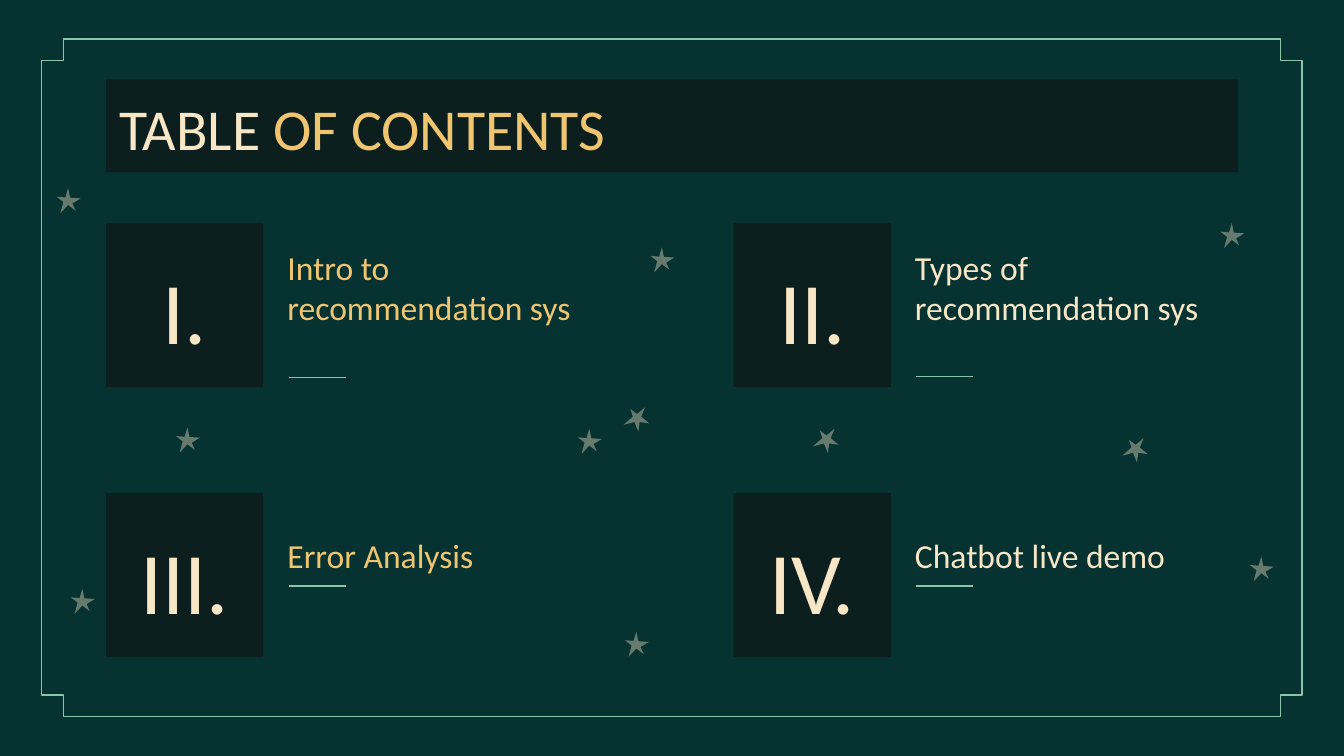
from dataclasses import dataclass

from lxml.etree import SubElement
from pptx import Presentation
from pptx.dml.color import RGBColor
from pptx.enum.shapes import MSO_CONNECTOR, MSO_SHAPE
from pptx.enum.text import MSO_ANCHOR, PP_ALIGN
from pptx.oxml.ns import qn
from pptx.util import Pt


@dataclass(frozen=True)
class Theme:
    ground: RGBColor = RGBColor(0x06, 0x33, 0x32)
    panel: RGBColor = RGBColor(0x0C, 0x1F, 0x1E)
    cream: RGBColor = RGBColor(0xF7, 0xE7, 0xC6)
    gold: RGBColor = RGBColor(0xEF, 0xC5, 0x70)
    green: RGBColor = RGBColor(0x8B, 0xC5, 0xA7)
    font: str = "Calibri"
    title: int = 31
    number: int = 47
    topic: int = 18
    stroke: float = 0.75


THEME = Theme()
INSET = 7.2
COLS = (56.9, 393.1)
ROWS = (119.5, 264.2)

# Star outlines, relative to their top left corner
UPRIGHT = ((6.1, 0), (4.7, 5), (0, 4.6), (3.6, 7.4), (2, 13.4),
           (6.1, 9), (10.1, 12), (8.4, 8.2), (12.8, 5.5), (7.2, 5.1))
TILTED = ((11.5, 0), (7.2, 3.6), (3.6, 0.9), (5, 5), (0, 9.4),
          (5.8, 7.9), (7.9, 13), (8.6, 7.9), (13.7, 8.6), (9.4, 5))
STARS = (
    (UPRIGHT, ((309.6, 229.7), (348.5, 132.5), (334.8, 338.4), (30.4, 100.8),
               (653.8, 119.5), (669.6, 298.1), (94.3, 229), (38, 315.4))),
    (TILTED, ((435.6, 229.7), (601.2, 234.7), (334.1, 218.2))),
)

# Number, topic, colour, column, row, topic top, rule height
TOPICS = (
    ("I.", "Intro to recommendation sys", THEME.gold, 0, 0, 125, 202.4),
    ("II.", "Types of recommendation sys", THEME.cream, 1, 0, 125, 201.6),
    ("III.", "Error Analysis", THEME.gold, 0, 1, 279.4, 313.9),
    ("IV.", "Chatbot live demo", THEME.cream, 1, 1, 279.4, 313.9),
)


def add_star(slide, outline, left, top):
    points = [(Pt(left + x), Pt(top + y)) for x, y in outline]
    pen = slide.shapes.build_freeform(*points[0], scale=1.0)
    pen.add_line_segments(points[1:], close=True)
    star = pen.convert_to_shape()
    star.shadow.inherit = False
    star.line.fill.background()
    star.fill.solid()
    star.fill.fore_color.rgb = THEME.cream
    color = star.fill._xPr.find(qn("a:solidFill"))[0]
    SubElement(color, qn("a:alpha"), val="40000")


def add_frame(slide):
    frame = slide.shapes.add_shape(
        MSO_SHAPE.CROSS, Pt(22.4), Pt(21), Pt(675.2), Pt(363))
    frame.adjustments[0] = 0.032
    frame.shadow.inherit = False
    frame.fill.background()
    frame.line.color.rgb = THEME.green
    frame.line.width = Pt(THEME.stroke)


def add_panel(slide, *area):
    panel = slide.shapes.add_shape(MSO_SHAPE.RECTANGLE, *map(Pt, area))
    panel.shadow.inherit = False
    panel.fill.solid()
    panel.fill.fore_color.rgb = THEME.panel
    panel.line.fill.background()
    return panel


def set_text(shape, runs, size, anchor=MSO_ANCHOR.TOP, align=PP_ALIGN.LEFT):
    """Fill the shape with one paragraph of (text, colour) runs."""
    frame = shape.text_frame
    frame.word_wrap = True
    frame.vertical_anchor = anchor
    frame.margin_left = frame.margin_right = Pt(INSET)
    frame.margin_top = frame.margin_bottom = Pt(INSET)
    para = frame.paragraphs[0]
    para.alignment = align
    para.font.name = THEME.font
    para.font.size = Pt(size)
    for text, color in runs:
        run = para.add_run()
        run.text = text
        run.font.color.rgb = color


def add_rule(slide, left, top):
    rule = slide.shapes.add_connector(
        MSO_CONNECTOR.STRAIGHT, Pt(left), Pt(top), Pt(left + 30.6), Pt(top))
    rule.line.color.rgb = THEME.green
    rule.line.width = Pt(THEME.stroke)
    SubElement(rule._element.spPr, qn("a:effectLst"))


def add_topic(slide, number, topic, color, col, row, top, rule):
    left = COLS[col]
    panel = add_panel(slide, left, ROWS[row], 84.2, 87.8)
    set_text(panel, [(number, THEME.cream)], THEME.number,
             MSO_ANCHOR.MIDDLE, PP_ALIGN.CENTER)
    # Capitals have no descenders: lower them to look centred
    panel.text_frame.margin_top = Pt(INSET + 5)
    box = slide.shapes.add_textbox(Pt(left + 90), Pt(top), Pt(180), Pt(57.6))
    set_text(box, [(topic, color)], THEME.topic)
    add_rule(slide, left + 97.7, rule)


def main():
    deck = Presentation()
    deck.slide_width, deck.slide_height = Pt(720), Pt(405)
    slide = deck.slides.add_slide(deck.slide_layouts[6])
    slide.background.fill.solid()
    slide.background.fill.fore_color.rgb = THEME.ground

    for outline, places in STARS:
        for left, top in places:
            add_star(slide, outline, left, top)
    add_frame(slide)
    title = add_panel(slide, COLS[0], 42.5, 606.5, 49.8)
    set_text(title, [("TABLE", THEME.cream), (" OF CONTENTS", THEME.gold)],
             THEME.title)
    for topic in TOPICS:
        add_topic(slide, *topic)
    deck.save("out.pptx")


if __name__ == "__main__":
    main()
